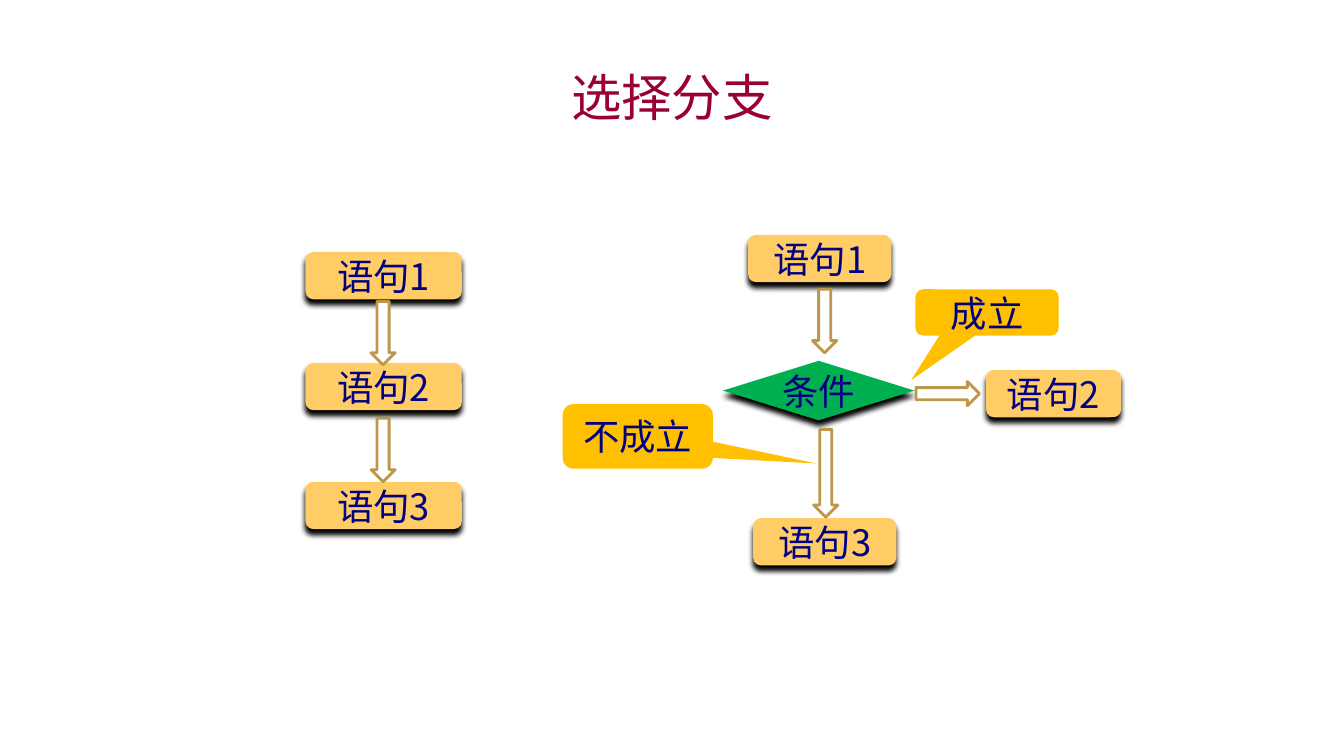
"""Builds a slide that sets a sequence of statements beside a conditional branch."""
from lxml import etree
from pptx import Presentation
from pptx.dml.color import RGBColor
from pptx.enum.shapes import MSO_SHAPE
from pptx.enum.text import MSO_ANCHOR, PP_ALIGN
from pptx.oxml.ns import qn
from pptx.util import Inches, Pt

STATEMENT = MSO_SHAPE.ROUNDED_RECTANGLE
CONDITION = MSO_SHAPE.DIAMOND
CALLOUT = MSO_SHAPE.ROUNDED_RECTANGULAR_CALLOUT
ARROW = MSO_SHAPE.DOWN_ARROW
MIDDLE = MSO_ANCHOR.MIDDLE
CENTER = PP_ALIGN.CENTER

COLORS = {
    "title": "990033",
    "text": "000080",
    "statement": "FFCC66",
    "condition": "00B050",
    "callout": "FFC000",
    "arrow": "FFFFFF",
    "arrow_line": "BD974B",
    "shadow": "000000",
}
FONT = "Noto Sans CJK SC"
CELL = Inches(0.1)
ROW_HEIGHT = 4.7
ARROW_WIDTH = 2.4
ARROW_LENGTH = 6.3
FRAME_FORMAT = {
    "margin_left": 0,
    "margin_right": 0,
    "margin_top": 0,
    "margin_bottom": 0,
    "vertical_anchor": MIDDLE,
}


def color(name):
    """Return the named colour."""
    return RGBColor.from_string(COLORS[name])


def on_grid(*cells):
    """Turn grid columns and rows into lengths."""
    return [round(cell * CELL) for cell in cells]


def write(box, text, size=26, shade="text"):
    """Write one centred line in the middle of a box."""
    frame = box.text_frame
    for name, value in FRAME_FORMAT.items():
        setattr(frame, name, value)
    frame.word_wrap = True
    para = frame.paragraphs[0]
    para.alignment = CENTER
    span = para.add_run()
    span.text = text
    for name, value in {"name": FONT, "size": Pt(size)}.items():
        setattr(span.font, name, value)
    span.font.color.rgb = color(shade)
    properties = span.font._element
    etree.SubElement(properties, qn("a:ea"), typeface=FONT)


def add_box(page, kind, place, fill):
    """Add a filled shape without line or shadow."""
    box = page.shapes.add_shape(kind, *on_grid(*place))
    box.shadow.inherit = False
    box.fill.solid()
    box.fill.fore_color.rgb = color(fill)
    box.line.fill.background()
    return box


def drop_shadow(box):
    """Cast a soft shadow straight below a box."""
    effects = box._element.spPr.find(qn("a:effectLst"))
    shadow = etree.SubElement(
        effects, qn("a:outerShdw"), blurRad=str(Pt(4)), dist=str(Pt(4)),
        dir="5400000", algn="ctr", rotWithShape="0")
    etree.SubElement(shadow, qn("a:srgbClr"), val=COLORS["shadow"])


def add_step(page, text, place, kind=STATEMENT, fill="statement"):
    """Add a flowchart step with its shadow."""
    box = add_box(page, kind, place, fill)
    drop_shadow(box)
    write(box, text)


def add_callout(page, text, place, pointer):
    """Add a callout whose tip lies at the pointer offsets."""
    box = add_box(page, CALLOUT, place, "callout")
    for index, offset in enumerate(pointer):
        box.adjustments[index] = offset
    write(box, text)


def add_arrow(page, left, top, length=ARROW_LENGTH, rotation=0):
    """Add an outlined block arrow."""
    arrow = add_box(page, ARROW, (left, top, ARROW_WIDTH, length), "arrow")
    arrow.line.color.rgb = color("arrow_line")
    arrow.line.width = Pt(2)
    arrow.rotation = rotation


def add_title(page, text):
    """Add the slide title."""
    box = page.shapes.add_textbox(*on_grid(10, 5.8, 113.3, 7.5))
    write(box, text, 36, "title")


def add_sequence(page):
    """Draw the statements that run one after another."""
    for number, top in enumerate((25, 36, 47.8), 1):
        add_step(page, f"语句{number}", (30.3, top, 15.5, ROW_HEIGHT))
    for top in (29.9, 41.5):
        add_arrow(page, 36.8, top)


def add_branch(page):
    """Draw the statements that depend on a condition."""
    add_step(page, "条件", (71.7, 35.8, 19, 5.9), CONDITION, "condition")
    statements = ((74.2, 23.3, 14.2), (97.8, 36.7, 13.4), (74.7, 51.4, 14.2))
    for number, place in enumerate(statements, 1):
        add_step(page, f"语句{number}", (*place, ROW_HEIGHT))
    add_callout(page, "成立", (90.8, 28.7, 14.2, 4.6), (-0.53, 1.46))
    add_callout(page, "不成立", (55.8, 40.1, 14.9, 6.4), (1.19, 0.42))
    add_arrow(page, 80.6, 28.7)
    add_arrow(page, 80.7, 42.6, length=8.7)
    add_arrow(page, 92.8, 35.9, rotation=270)


def main():
    """Build and save the deck."""
    deck = Presentation()
    deck.slide_width, deck.slide_height = Inches(13.33), Inches(7.5)
    page = deck.slides.add_slide(deck.slide_layouts[6])
    add_title(page, "选择分支")
    add_sequence(page)
    add_branch(page)
    deck.save("out.pptx")


if __name__ == "__main__":
    main()
